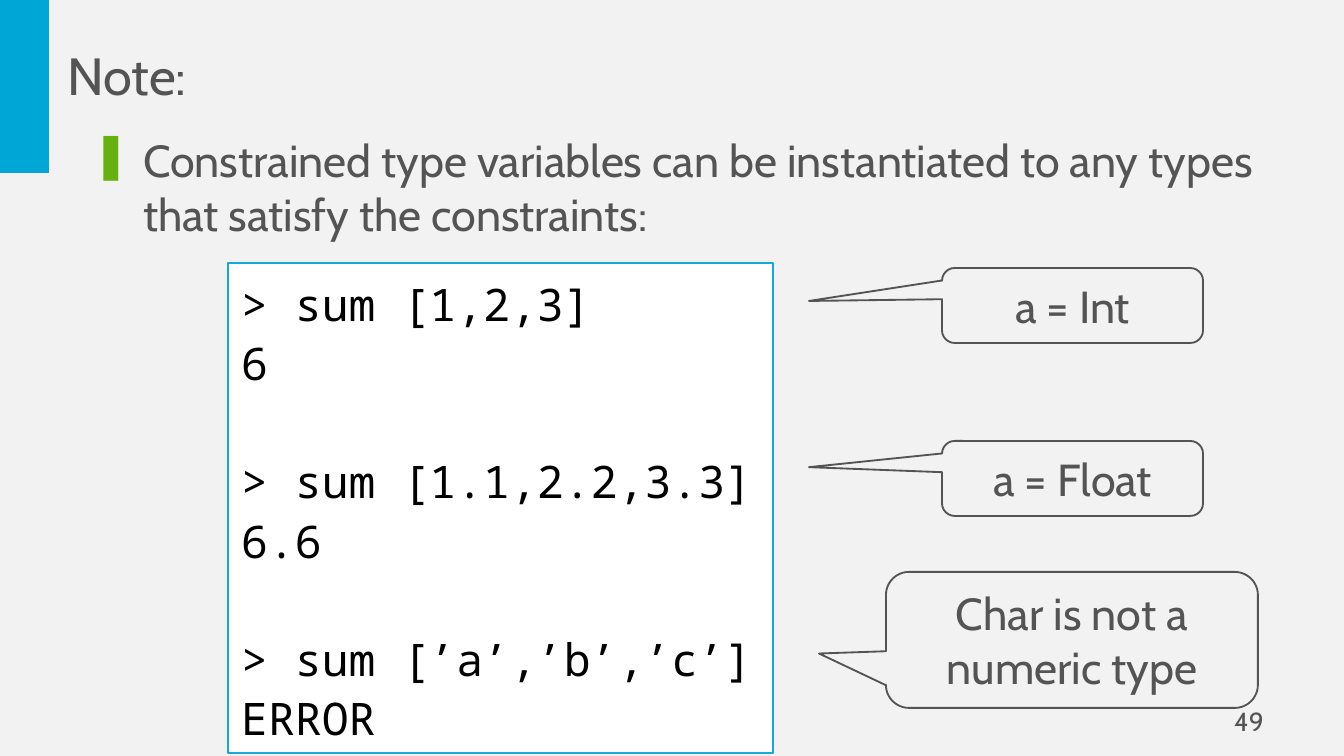
from lxml import etree
from pptx import Presentation
from pptx.dml.color import RGBColor
from pptx.enum.shapes import MSO_SHAPE
from pptx.enum.text import MSO_ANCHOR, MSO_AUTO_SIZE, PP_ALIGN
from pptx.oxml.ns import qn
from pptx.util import Emu, Pt

RECTANGLE = MSO_SHAPE.RECTANGLE
CALLOUT = MSO_SHAPE.ROUNDED_RECTANGULAR_CALLOUT
MIDDLE, TOP = MSO_ANCHOR.MIDDLE, MSO_ANCHOR.TOP
LEFT, CENTER, RIGHT = PP_ALIGN.LEFT, PP_ALIGN.CENTER, PP_ALIGN.RIGHT
NO_AUTOFIT = MSO_AUTO_SIZE.NONE

BACKGROUND = RGBColor(0xF2, 0xF2, 0xF2)
ACCENT = RGBColor(0x00, 0xA6, 0xD6)
CODE_BORDER = RGBColor(0x15, 0xA8, 0xDB)
BULLET_GREEN = RGBColor(0x66, 0xB0, 0x10)
GREY = RGBColor(0x54, 0x54, 0x54)
WHITE = RGBColor(0xFF, 0xFF, 0xFF)
BLACK = RGBColor(0x00, 0x00, 0x00)

BODY_FONT = "Cabin"
CODE_FONT = "Noto Sans Mono"
PX_PER_INCH = 134.4
CODE_LINE_GAP = Pt(31.7)

CODE_EXAMPLES = [
    ("> sum [1,2,3]", "6"),
    ("> sum [1.1,2.2,3.3]", "6.6"),
    ("> sum [’a’,’b’,’c’]", "ERROR"),
]
CALLOUTS = [
    ("a = Int", (942, 268, 261, 75), (-1.01, -0.06)),
    ("a = Float", (942, 441, 261, 75), (-1.01, -0.15)),
    ("Char is not a numeric type", (886, 572, 372, 136), (-0.68, 0.1)),
]


def px(length):
    return Emu(round(length * 914400 / PX_PER_INCH))


def box(bounds):
    return [px(length) for length in bounds]


def format_paragraph(paragraph, size, color=GREY, font=BODY_FONT, align=LEFT):
    paragraph.alignment = align
    for run in paragraph.runs:
        run.font.name = font
        run.font.size = Pt(size)
        run.font.color.rgb = color


def set_frame(frame, anchor, wrap=True):
    frame.auto_size = NO_AUTOFIT
    frame.vertical_anchor = anchor
    frame.word_wrap = wrap


def add_text(slide, text, bounds, size, anchor=TOP, align=LEFT):
    frame = slide.shapes.add_textbox(*box(bounds)).text_frame
    set_frame(frame, anchor)
    frame.text = text
    paragraph = frame.paragraphs[0]
    format_paragraph(paragraph, size, align=align)
    return paragraph


def add_bullet(paragraph, indent):
    properties = paragraph._p.get_or_add_pPr()
    properties.set("marL", str(px(indent)))
    properties.set("indent", str(-px(indent)))
    bullet_color = etree.SubElement(properties, qn("a:buClr"))
    etree.SubElement(bullet_color, qn("a:srgbClr"), val=str(BULLET_GREEN))
    etree.SubElement(properties, qn("a:buChar"), char="❚")


def add_panel(slide, preset, bounds, fill=None, line=None):
    panel = slide.shapes.add_shape(preset, *box(bounds))
    panel.shadow.inherit = False
    if fill is None:
        panel.fill.background()
    else:
        panel.fill.solid()
        panel.fill.fore_color.rgb = fill
    if line is None:
        panel.line.fill.background()
    else:
        panel.line.color.rgb = line
        panel.line.width = Pt(1)
    return panel


def add_title(slide, text, bounds):
    title = slide.shapes.title
    title.left, title.top, title.width, title.height = box(bounds)
    frame = title.text_frame
    set_frame(frame, MIDDLE, wrap=False)
    frame.text = text
    format_paragraph(frame.paragraphs[0], 28)


def add_code(slide, examples, bounds):
    frame = add_panel(slide, RECTANGLE, bounds, WHITE, CODE_BORDER).text_frame
    set_frame(frame, MIDDLE, wrap=False)
    frame.text = "\n".join(line for example in examples for line in example)
    for index, paragraph in enumerate(frame.paragraphs):
        paragraph.line_spacing = 1.1
        if index and index % 2 == 0:
            paragraph.space_before = CODE_LINE_GAP
        format_paragraph(paragraph, 24, BLACK, CODE_FONT)


def add_callout(slide, text, bounds, tip):
    callout = add_panel(slide, CALLOUT, bounds, line=GREY)
    callout.adjustments[0], callout.adjustments[1] = tip
    callout.adjustments[2] = 0.17
    set_frame(callout.text_frame, MIDDLE)
    callout.text_frame.text = text
    format_paragraph(callout.text_frame.paragraphs[0], 24, align=CENTER)


def main():
    presentation = Presentation()
    presentation.slide_width, presentation.slide_height = px(1344), px(756)
    slide = presentation.slides.add_slide(presentation.slide_layouts[5])
    slide.background.fill.solid()
    slide.background.fill.fore_color.rgb = BACKGROUND

    add_panel(slide, RECTANGLE, (0, 0, 49, 173), ACCENT)
    add_title(slide, "Note:", (54, 36, 208, 77))
    statement = add_text(
        slide,
        "Constrained type variables can be instantiated to any types "
        "that satisfy the constraints:",
        (79, 126, 1211, 118), 24)
    add_bullet(statement, 51)
    add_code(slide, CODE_EXAMPLES, (228, 263, 545, 490))
    for text, bounds, tip in CALLOUTS:
        add_callout(slide, text, bounds, tip)
    add_text(slide, "49", (964, 701, 313, 40), 14, MIDDLE, RIGHT)

    presentation.save("out.pptx")


if __name__ == "__main__":
    main()
